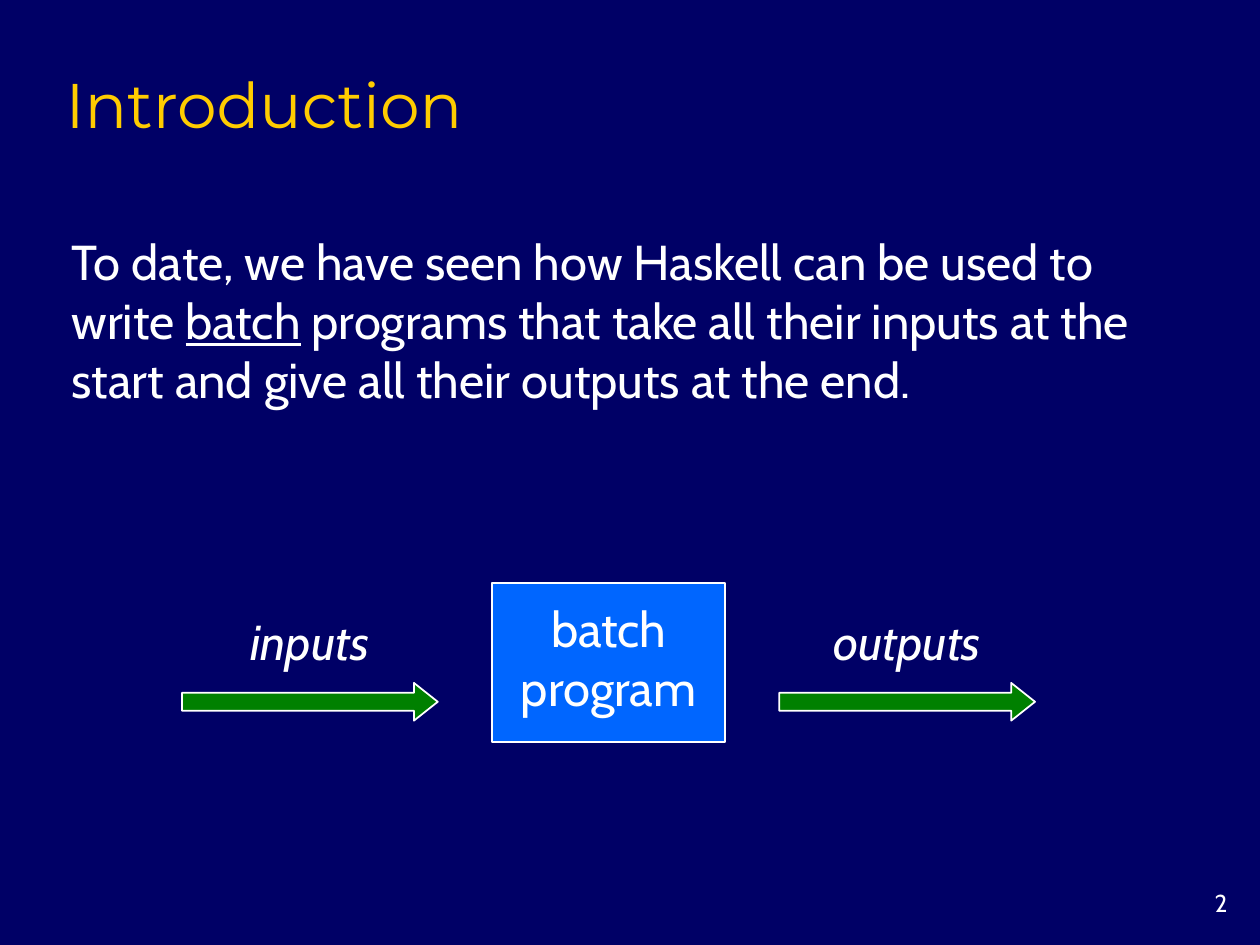
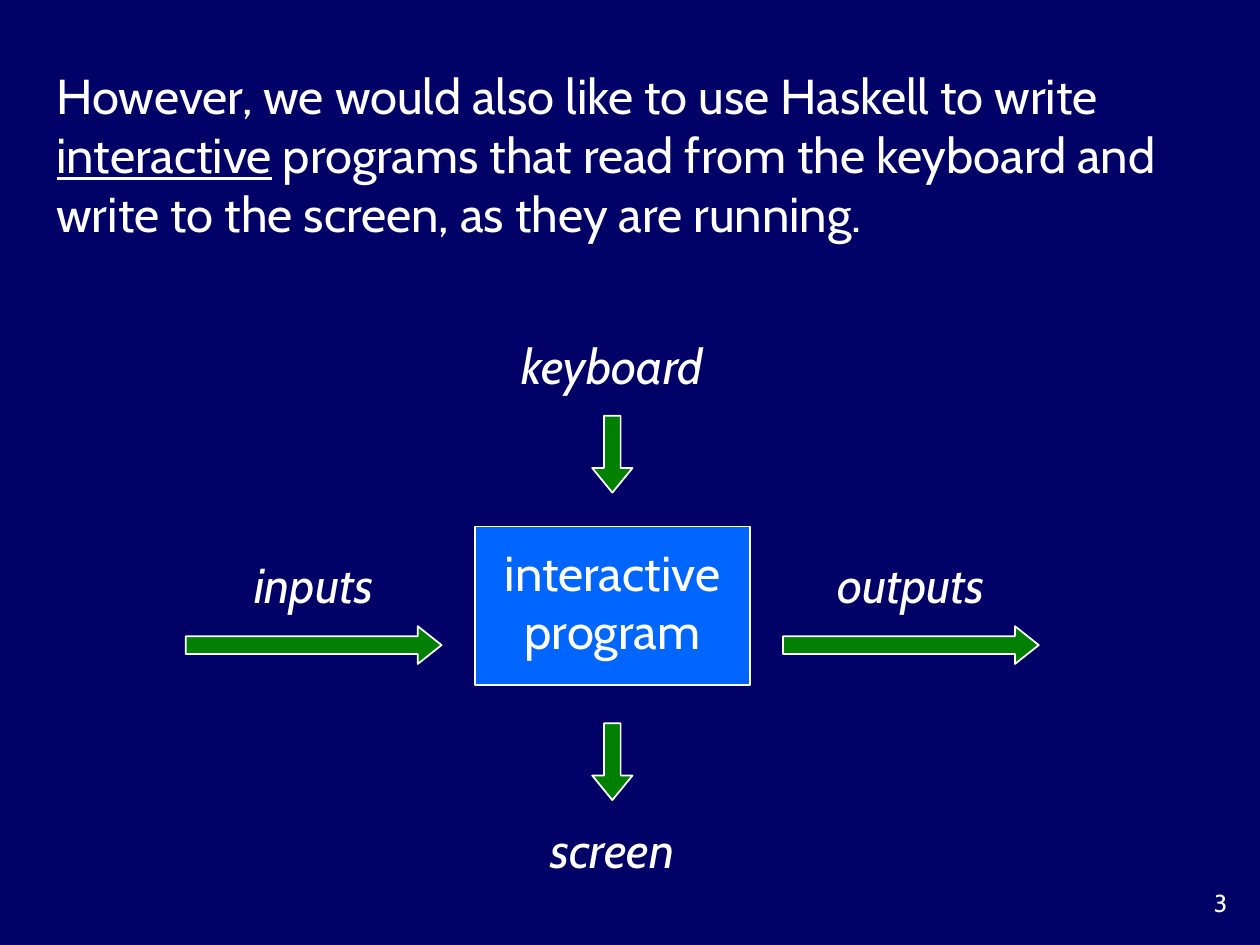
"""Build two slides that contrast batch programs with interactive programs."""
from pptx import Presentation
from pptx.dml.color import RGBColor
from pptx.enum.shapes import MSO_SHAPE as Shape
from pptx.enum.text import MSO_ANCHOR as Anchor, MSO_AUTO_SIZE as AutoSize, PP_ALIGN as Align
from pptx.util import Inches, Pt

COLOURS = {
    "background": "000066",
    "title": "FFCC00",
    "text": "FFFFFF",
    "program": "0066FF",
    "arrow": "008000",
}
TITLE_FONT, TEXT_FONT = "Montserrat", "Cabin"
TEXT_SIZE = 28

deck = Presentation()
deck.slide_width, deck.slide_height = Inches(10), Inches(7.5)
COL, ROW = deck.slide_width / 100, deck.slide_height / 75

page_fill = deck.slide_master.background.fill
page_fill.solid()
page_fill.fore_color.rgb = RGBColor.from_string(COLOURS["background"])


def write(holder, lines, size=TEXT_SIZE, font=TEXT_FONT, colour="text",
          align=Align.LEFT, anchor=Anchor.TOP, italic=False):
    """Fill a holder with lines, each a list of runs; odd runs are underlined."""
    frame = holder.text_frame
    frame.word_wrap = True
    frame.auto_size = AutoSize.NONE
    frame.vertical_anchor = anchor
    for number, pieces in enumerate(lines):
        paragraph = frame.add_paragraph() if number else frame.paragraphs[0]
        paragraph.alignment = align
        for index, piece in enumerate(pieces):
            run = paragraph.add_run()
            run.text = piece
            run.font.size = Pt(size)
            run.font.name = font
            run.font.italic = italic
            run.font.underline = index % 2 == 1
            run.font.color.rgb = RGBColor.from_string(COLOURS[colour])


def block(slide, preset, cell, colour):
    """Add a filled preset shape with a thin outline at a grid cell."""
    left, top, width, height = cell
    shape = slide.shapes.add_shape(preset, round(left * COL), round(top * ROW),
                                   round(width * COL), round(height * ROW))
    shape.shadow.inherit = False
    shape.fill.solid()
    shape.fill.fore_color.rgb = RGBColor.from_string(COLOURS[colour])
    shape.line.color.rgb = RGBColor.from_string(COLOURS["text"])
    shape.line.width = Pt(1)
    return shape


TITLE_ONLY, BLANK = deck.slide_layouts[5], deck.slide_layouts[6]
PAGES = [
    {
        "layout": TITLE_ONLY,
        "title": "Introduction",
        "statement": ["To date, we have seen how Haskell can be used to write ", "batch",
                      " programs that take all their inputs at the start and give all"
                      " their outputs at the end."],
        "statement_cell": (4.7, 17.9, 91.8, 15),
        "program": "batch",
        "centre": 48.3,
        "top": 46.3,
        "width": 18.5,
        "devices": [],
    },
    {
        "layout": BLANK,
        "title": None,
        "statement": ["However, we would also like to use Haskell to write ", "interactive",
                      " programs that read from the keyboard and write to the screen,"
                      " as they are running."],
        "statement_cell": (3.5, 4.7, 94.2, 19.7),
        "program": "interactive",
        "centre": 48.6,
        "top": 41.8,
        "width": 21.8,
        "devices": [("keyboard", -15.7, -8.8), ("screen", 22.7, 15.6)],
    },
]
PROGRAM_HEIGHT = 12.6
LABEL_WIDTH, LABEL_HEIGHT = 19, 5.7
FLOW_OFFSET, FLOW_LENGTH, FLOW_HEIGHT = 23.7, 20.3, 3
DEVICE_WIDTH, DEVICE_LENGTH = 3.2, 6.1

for page_number, page in enumerate(PAGES, start=2):
    slide = deck.slides.add_slide(page["layout"])
    centre, top = page["centre"], page["top"]

    if page["title"]:
        title = slide.shapes.title
        title.left, title.top = round(4.2 * COL), round(4.2 * ROW)
        title.width, title.height = round(85 * COL), round(7.5 * ROW)
        write(title, [[page["title"]]], 36, TITLE_FONT, "title", anchor=Anchor.BOTTOM)

    flows = [("inputs", centre - FLOW_OFFSET), ("outputs", centre + FLOW_OFFSET)]
    labels = [(word, middle, top + 1.7) for word, middle in flows]
    labels += [(word, centre, top + label_shift) for word, label_shift, _ in page["devices"]]

    texts = [
        ((91.7, 70, 6.7, 3.3), [str(page_number)], {"size": 14, "align": Align.RIGHT}),
        (page["statement_cell"], page["statement"], {}),
    ]
    texts += [
        ((middle - LABEL_WIDTH / 2, label_top, LABEL_WIDTH, LABEL_HEIGHT), [word],
         {"align": Align.CENTER, "anchor": Anchor.MIDDLE, "italic": True})
        for word, middle, label_top in labels
    ]
    for (left, text_top, width, height), pieces, style in texts:
        text = slide.shapes.add_textbox(round(left * COL), round(text_top * ROW),
                                        round(width * COL), round(height * ROW))
        write(text, [pieces], **style)

    program = block(slide, Shape.RECTANGLE,
                    (centre - page["width"] / 2, top, page["width"], PROGRAM_HEIGHT), "program")
    program.text_frame.margin_bottom = Inches(0.13)
    write(program, [[page["program"]], ["program"]], align=Align.CENTER, anchor=Anchor.MIDDLE)

    arrows = [
        (Shape.RIGHT_ARROW, (middle - FLOW_LENGTH / 2, top + 7.9, FLOW_LENGTH, FLOW_HEIGHT),
         (0.47, 0.63))
        for _, middle in flows
    ]
    arrows += [
        (Shape.DOWN_ARROW,
         (centre - DEVICE_WIDTH / 2, top + arrow_shift, DEVICE_WIDTH, DEVICE_LENGTH),
         (0.41, 0.61))
        for _, _, arrow_shift in page["devices"]
    ]
    for preset, cell, (shaft, head) in arrows:
        arrow = block(slide, preset, cell, "arrow")
        arrow.adjustments[0], arrow.adjustments[1] = shaft, head

deck.save("out.pptx")
